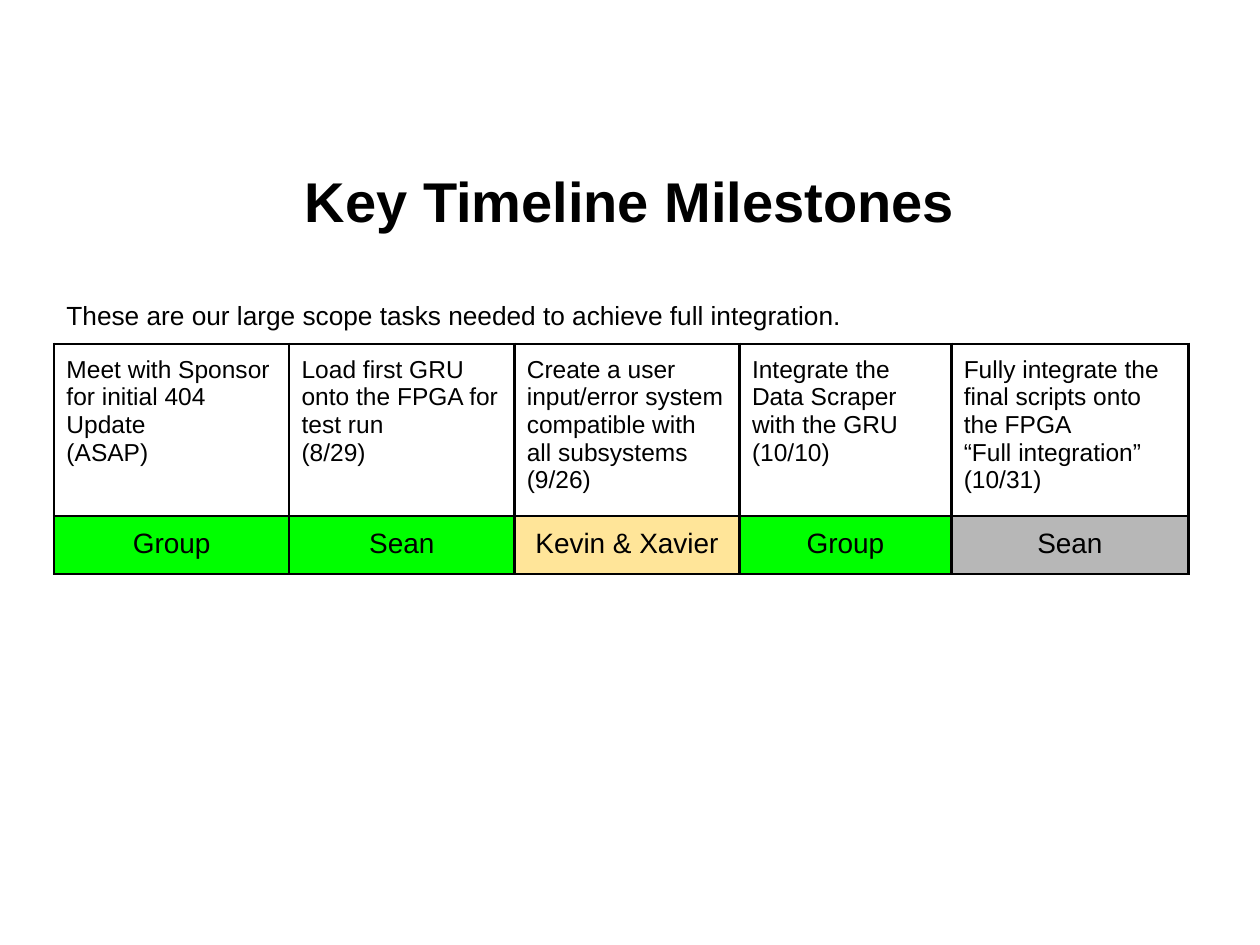
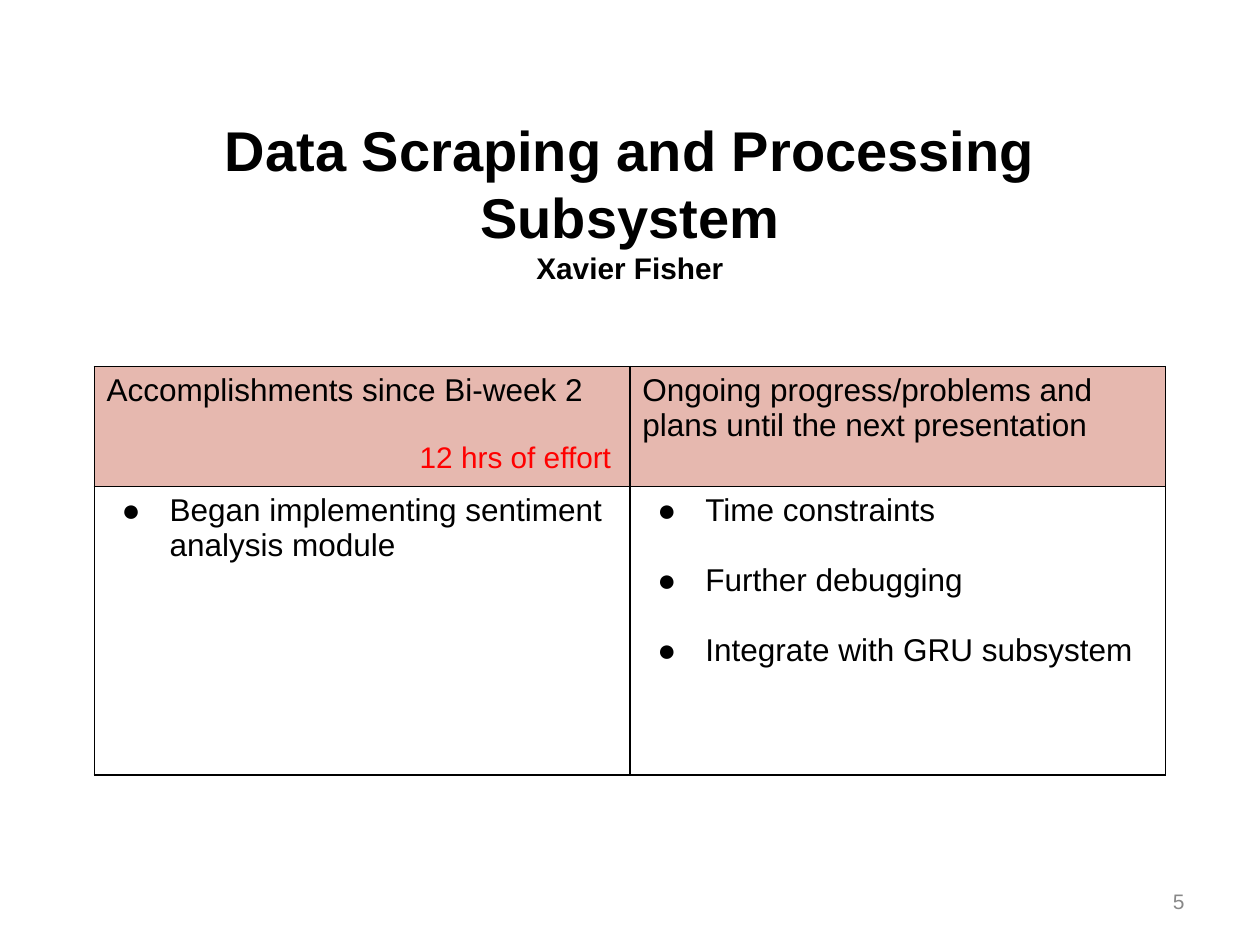
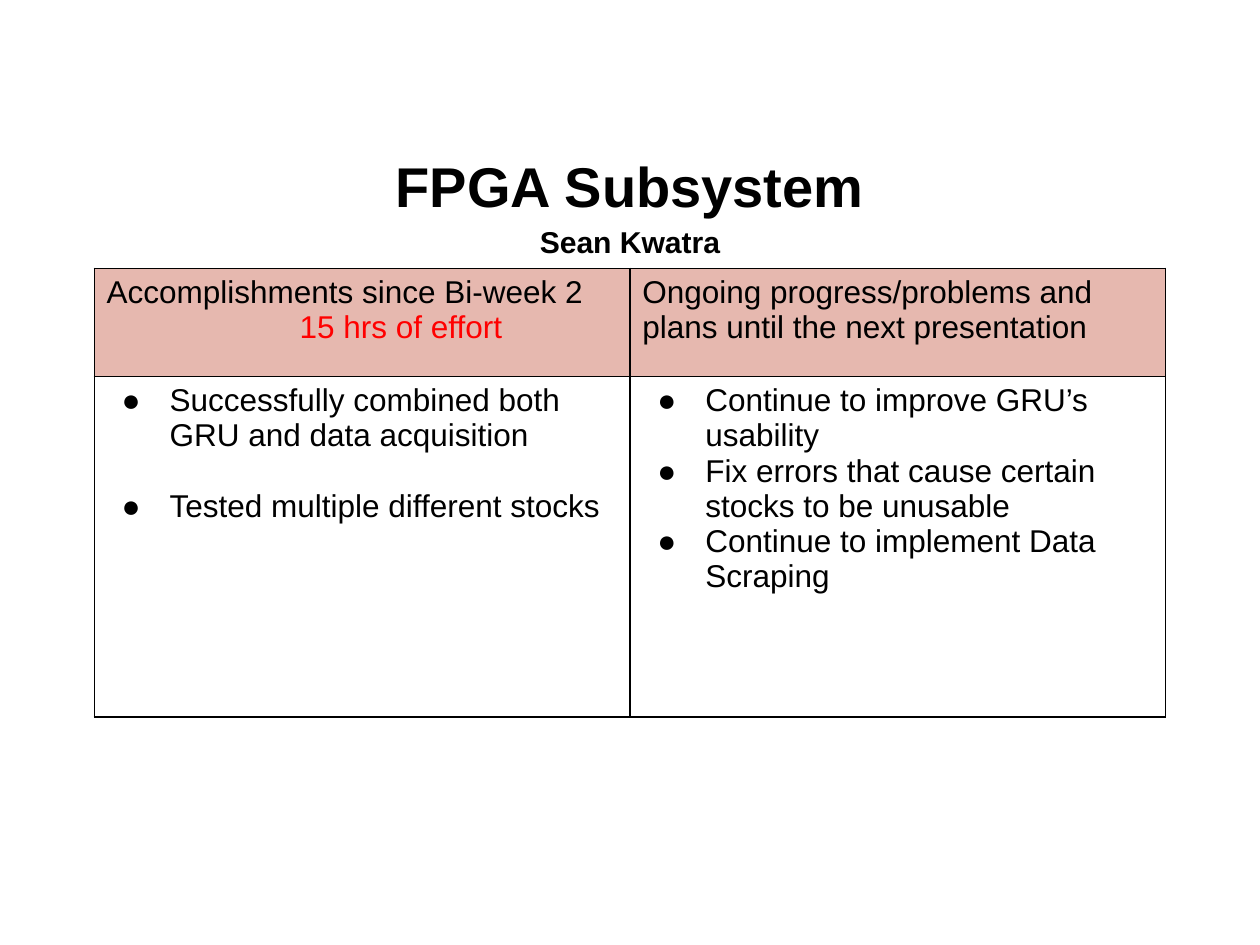
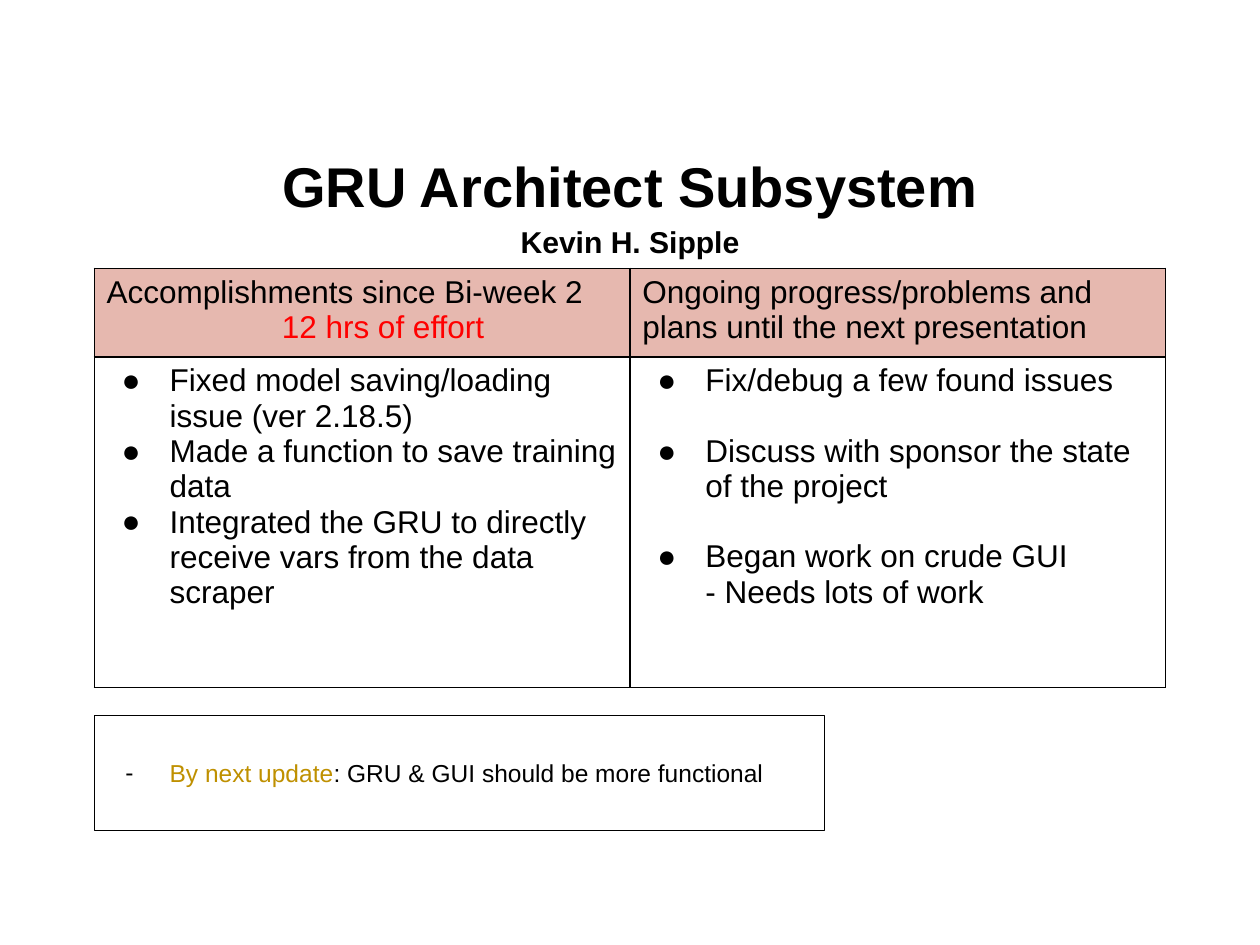
"""Build four project status slides: key milestones and three subsystem reports."""
from pptx import Presentation, util as u
from pptx.dml.color import RGBColor
from pptx.enum import shapes, text
from pptx.oxml import parse_xml
from pptx.oxml.ns import nsdecls

HUES = {"ink": "000000", "red": "FF0000", "gold": "BF9000", "gray": "888888",
        "head": "E6B8AF", "done": "00FF00", "part": "FFE599", "wait": "B7B7B7"}
FONT = "Arial"
LEFT, MID, RIGHT = text.PP_ALIGN.LEFT, text.PP_ALIGN.CENTER, text.PP_ALIGN.RIGHT

INTRO = "These are our large scope tasks needed to achieve full integration."
STEPS = [
    (4.74, ["Meet with Sponsor for initial 404 Update", "(ASAP)"], "Group", "done"),
    (4.54, ["Load first GRU onto the FPGA for test run", "(8/29)"], "Sean", "done"),
    (4.54, ["Create a user input/error system compatible with all subsystems", "(9/26)"],
     "Kevin & Xavier", "part"),
    (4.27, ["Integrate the Data Scraper with the GRU", "(10/10)"], "Group", "done"),
    (4.78, ["Fully integrate the final scripts onto the FPGA", "“Full integration”",
            "(10/31)"], "Sean", "wait"),
]
DONE = "Accomplishments since Bi-week 2"
NEXT = "Ongoing progress/problems and plans until the next presentation"
PARTS = [
    {"title": "Data Scraping and Processing Subsystem", "name": "Xavier Fisher",
     "small": 17, "lead": 1, "top": 7.39, "rows": (2.32, 5.82),
     "hours": ("12 hrs of effort", 17, 6.31, 19),
     "lists": [(0, ["Began implementing sentiment analysis module"]),
               (20, ["Time constraints", "Further debugging",
                     "Integrate with GRU subsystem"])],
     "page": "5"},
    {"title": "FPGA Subsystem", "name": "Sean Kwatra",
     "small": 17.2, "lead": 1.15, "top": 5.41, "rows": (2.18, 6.86),
     "hours": ("15 hrs of effort", 18, 3.89, 0),
     "lists": [(20, ["Successfully combined both GRU and data acquisition",
                     "Tested multiple different stocks"]),
               (0, ["Continue to improve GRU’s usability",
                    "Fix errors that cause certain stocks to be unusable",
                    "Continue to implement Data Scraping"])]},
    {"title": "GRU Architect Subsystem", "name": "Kevin H. Sipple",
     "small": 17.2, "lead": 1.15, "top": 5.41, "rows": (1.78, 6.66),
     "hours": ("12 hrs of effort", 18, 3.53, 0),
     "lists": [(0, ["Fixed model saving/loading issue (ver 2.18.5)",
                    "Made a function to save training data",
                    "Integrated the GRU to directly receive vars from the data scraper"]),
               (20, ["Fix/debug a few found issues",
                     "Discuss with sponsor the state of the project",
                     "Began work on crude GUI"])],
     "tail": "- Needs lots of work",
     "note": ("By next update", ": GRU & GUI should be more functional")},
]


def hue(key):
    return RGBColor.from_string(HUES[key])


def style(par, size, key="ink", bold=False, align=LEFT):
    font = par.font
    font.name, font.size, font.bold = FONT, u.Pt(size), bold
    font.color.rgb = hue(key)
    par.alignment = align


def add_par(frame, words, size, **look):
    par = frame.paragraphs[0]
    if par.runs:
        par = frame.add_paragraph()
    par.add_run().text = words
    style(par, size, **look)
    return par


def indent(par, left, hang=0, mark=None):
    props = par._p.get_or_add_pPr()
    props.set("marL", str(u.Cm(left)))
    props.set("indent", str(u.Cm(-hang)))
    if mark:
        for xml in (f'<a:buClr {nsdecls("a")}><a:srgbClr val="{HUES["ink"]}"/></a:buClr>',
                    f'<a:buFont {nsdecls("a")} typeface="{FONT}"/>',
                    f'<a:buChar {nsdecls("a")} char="{mark}"/>'):
            props.insert_element_before(parse_xml(xml), "a:tabLst", "a:defRPr", "a:extLst")


def add_box(slide, x, y, wide, high, anchor=text.MSO_ANCHOR.MIDDLE):
    frame = slide.shapes.add_textbox(*map(u.Cm, (x, y, wide, high))).text_frame
    frame.word_wrap = True
    frame.vertical_anchor = anchor
    return frame


def add_title(slide, words):
    frame = add_box(slide, 1.27, 2.92, 22.86, 2.24)
    add_par(frame, words, 32, bold=True, align=MID)
    return frame


def add_grid(slide, x, y, cols, rows, line, pad):
    grid = slide.shapes.add_table(len(rows), len(cols), u.Cm(x), u.Cm(y),
                                  u.Cm(sum(cols)), u.Cm(sum(rows))).table
    grid.first_row = grid.horz_banding = False
    for col, wide in zip(grid.columns, cols):
        col.width = u.Cm(wide)
    for row, high in zip(grid.rows, rows):
        row.height = u.Cm(high)
    for cell in grid.iter_cells():
        cell.margin_left = cell.margin_right = u.Cm(0.25)
        cell.margin_top = cell.margin_bottom = u.Cm(pad)
        props = cell._tc.get_or_add_tcPr()
        for side in "LRTB":
            props.append(parse_xml(
                f'<a:ln{side} {nsdecls("a")} w="{u.Pt(line)}"><a:solidFill>'
                f'<a:srgbClr val="{HUES["ink"]}"/></a:solidFill></a:ln{side}>'))
        cell.fill.background()
    return grid


def paint(cell, key):
    cell.fill.solid()
    cell.fill.fore_color.rgb = hue(key)


def add_steps(slide):
    add_title(slide, "Key Timeline Milestones")
    frame = add_box(slide, 1.09, 5.16, 22.86, 11.33, text.MSO_ANCHOR.TOP)
    frame.margin_top = u.Cm(0.88)
    add_par(frame, INTRO, 15)
    grid = add_grid(slide, 1.09, 6.93, [step[0] for step in STEPS], (3.28, 1.13), 1.5, 0.25)
    for col, (_, lines, who, key) in enumerate(STEPS):
        for words in lines:
            add_par(grid.cell(0, col).text_frame, words, 14)
        cell = grid.cell(1, col)
        add_par(cell.text_frame, who, 16, align=MID)
        paint(cell, key)


def add_note(slide, lead, rest):
    box = slide.shapes.add_shape(shapes.MSO_SHAPE.RECTANGLE,
                                 *map(u.Cm, (1.9, 14.43, 14.73, 2.31)))
    box.shadow.inherit = False
    box.fill.background()
    box.line.color.rgb = hue("ink")
    box.line.width = u.Pt(0.75)
    frame = box.text_frame
    frame.word_wrap = True
    frame.vertical_anchor = text.MSO_ANCHOR.MIDDLE
    par = add_par(frame, lead, 14)
    par.runs[0].font.color.rgb = hue("gold")
    run = par.add_run()
    run.text = rest
    run.font.color.rgb = hue("ink")
    indent(par, 1.27, 0.89, "-")


def add_part(slide, part):
    frame = add_title(slide, part["title"])
    add_par(frame, part["name"], part["small"], bold=True, align=MID)
    for par in frame.paragraphs:
        par.line_spacing = part["lead"]

    grid = add_grid(slide, 1.9, part["top"], (10.8, 10.8), part["rows"], 1, 0.13)
    for col, words in enumerate((DONE, NEXT)):
        add_par(grid.cell(0, col).text_frame, words, 18)
        paint(grid.cell(0, col), "head")
    words, size, left, gap = part["hours"]
    par = add_par(grid.cell(0, 0).text_frame, words, size, key="red")
    par.space_before = u.Pt(gap)
    indent(par, left)

    for col, (gap, items) in enumerate(part["lists"]):
        for row, words in enumerate(items):
            par = add_par(grid.cell(1, col).text_frame, words, 18)
            par.space_before = u.Pt(gap if row else 0)
            indent(par, 1.27, 0.97, "●")
    if "tail" in part:
        indent(add_par(grid.cell(1, 1).text_frame, part["tail"], 18), 1.27)
    if "note" in part:
        add_note(slide, *part["note"])
    if "page" in part:
        frame = add_box(slide, 18.21, 17.65, 5.92, 1.02)
        add_par(frame, part["page"], 12, key="gray", align=RIGHT)


def main():
    deck = Presentation()
    deck.slide_width, deck.slide_height = u.Cm(25.4), u.Cm(19.05)
    blank = deck.slide_layouts[6]
    add_steps(deck.slides.add_slide(blank))
    for part in PARTS:
        add_part(deck.slides.add_slide(blank), part)
    deck.save("out.pptx")


if __name__ == "__main__":
    main()
